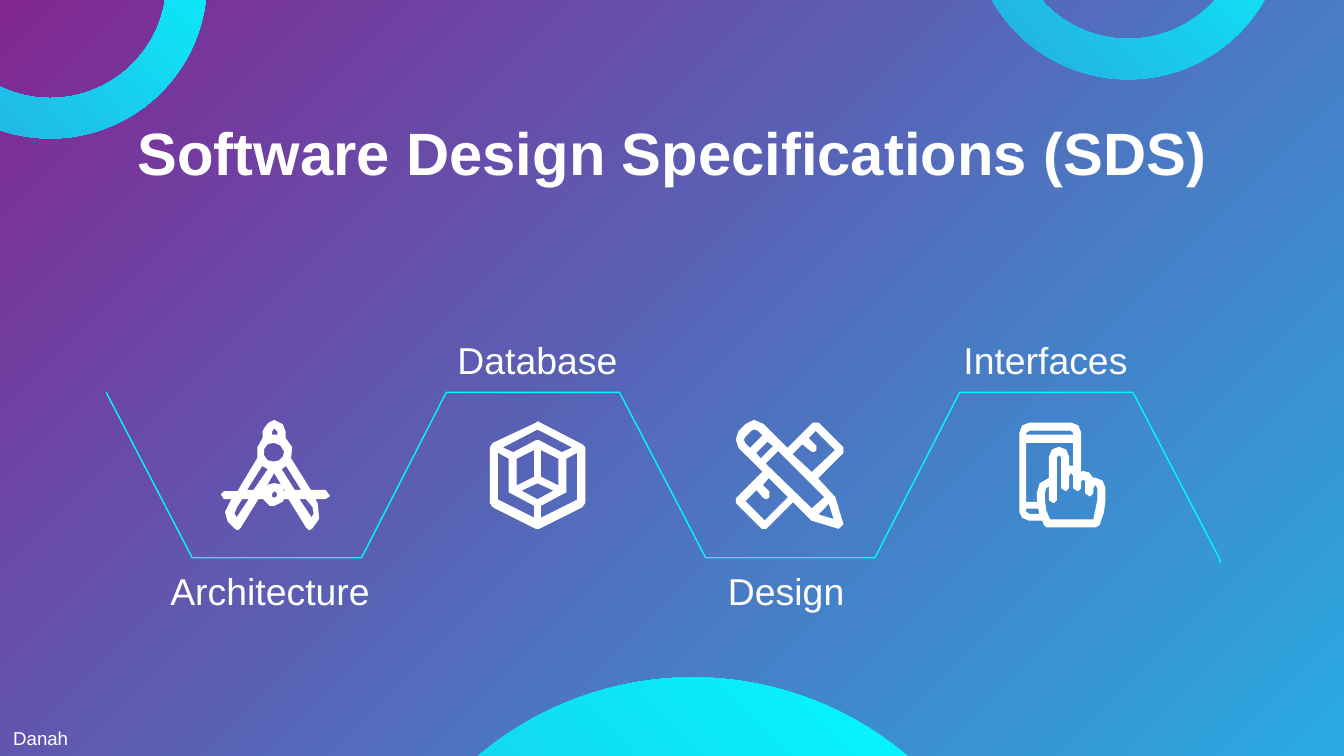
"""Build a slide showing four design specification steps along a zigzag line."""
import pptx
import pptx.dml.color
import pptx.enum.shapes
import pptx.enum.text
import pptx.util

WIDTH = 10
HEIGHT = WIDTH * 9 / 16
WHITE, CYAN, PURPLE, BLUE, LINE = "FFFFFF", "00FFFF", "812792", "29AAE1", "00F9F9"
TITLE = "Software Design Specifications (SDS)"
AUTHOR = "Danah"
RINGS = [(-0.79, -1.3, 2.33), (7.23, -1.74, 2.33), (2.68, 5.04, 4.95)]
LABEL_WIDTH, LABEL_HEIGHT = 1.74, 0.49
ABOVE, BELOW = 2.41, 4.13

ZIGZAG_START, ZIGZAG_PERIOD = 79, 382
ZIGZAG_WAVE = [(0, 292), (64, 415), (190, 415), (253, 292)]
ZIGZAG_COUNT, ZIGZAG_END = 10, (908, 419)

DIVIDERS = [
    "40,0 36,2 33,6 32,8 32,13 28,20 28,28 13,53 3,53 1,55 3,58 9,58 7,62 4,68 6,75 11,80 "
    "13,81 15,79 28,58 32,58 37,63 40,63 46,60 47,58 51,58 64,79 66,81 68,80 73,73 72,62 "
    "70,58 78,58 81,56 78,52 67,52 52,28 53,20 48,13 48,8 46,3 42,1",
    "40,5 43,8 43,11 38,11 38,8",
    "40,16 45,18 48,23 47,27 44,30 40,31 35,30 32,26 32,21 35,17",
    "31,33 36,36 25,52 19,52",
    "49,33 61,52 55,52 45,36",
    "40,38 49,53 47,53 45,48 40,47 36,48 33,52 32,52",
    "40,52 42,53 43,55 42,57 40,58 38,57 38,54",
    "22,58 12,73 10,69 12,64 16,58",
    "64,58 69,64 70,69 68,73 58,58",
]
CUBE = [
    "35,0 37,1 68,17 70,19 70,60 68,63 36,79 34,79 2,63 0,60 0,19 2,16 34,1",
    "35,5 62,19 53,23 36,14 34,14 17,23 8,19",
    "33,20 33,41 19,48 19,27",
    "37,20 51,27 51,48 37,41",
    "35,45 48,51 35,58 22,51",
    "5,22 14,27 14,52 16,53 33,62 33,72 5,58",
    "65,22 65,58 37,72 37,62 54,53 56,52 56,27",
]
PENCIL_AND_RULER = [
    "14,0 8,3 3,8 1,14 3,20 9,26 17,34 21,38 14,45 1,58 1,61 20,80 23,80 43,60 55,72 57,74 "
    "77,80 80,77 74,57 73,56 61,43 80,24 80,20 62,2 58,2 49,11 39,21 21,3",
    "14,6 17,7 21,11 11,21 7,17 6,14 7,12 12,7",
    "24,15 29,19 19,29 15,24",
    "60,7 75,22 57,39 42,25 50,17 56,22 58,23 60,22 60,19 54,13",
    "32,22 67,57 57,66 22,32",
    "70,61 74,74 61,70",
    "25,42 40,57 22,75 7,60 16,51 21,57 23,58 25,57 25,53 20,48",
]
TOUCH_SCREEN = [
    "7,0 2,2 0,7 0,66 2,70 7,72 17,72 18,75 20,77 56,77 58,76 59,75 62,66 63,57 63,48 61,43 "
    "56,41 54,41 51,37 47,36 45,37 45,7 43,2 38,0",
    "38,5 40,7 40,9 4,9 4,7 7,5",
    "40,14 40,32 36,32 36,25 34,20 29,18 24,20 22,25 22,41 15,45 13,52 13,57 14,59 4,59 4,14",
    "14,63 15,68 7,68 4,66 4,63",
    "29,23 31,25 31,48 34,50 36,48 36,39 38,36 40,39 40,48 43,50 45,48 45,43 47,41 49,43 "
    "49,52 52,54 54,52 54,48 56,45 58,48 58,57 55,72 22,72 19,65 18,57 18,52 19,48 22,46 "
    "22,57 25,59 27,57 27,25",
]
STEPS = [
    ("Architecture", 1.14, BELOW, DIVIDERS, (1.64, 3.13)),
    ("Database", 3.13, ABOVE, CUBE, (3.65, 3.14)),
    ("Design", 4.98, BELOW, PENCIL_AND_RULER, (5.47, 3.13)),
    ("Interfaces", 6.91, ABOVE, TOUCH_SCREEN, (7.59, 3.15)),
]


def inches(*lengths):
    return [pptx.util.Inches(length) for length in lengths]


def color(value):
    return pptx.dml.color.RGBColor.from_string(value)


def set_gradient(fill, start, end, angle):
    fill.gradient()
    fill.gradient_angle = angle
    for stop, value in zip(fill.gradient_stops, (start, end)):
        stop.color.rgb = color(value)


def write_text(shape, text, size, bold=False, centered=True, wrap=True, margin=0.1):
    frame = shape.text_frame
    frame.text = text
    frame.word_wrap = wrap
    frame.auto_size = pptx.enum.text.MSO_AUTO_SIZE.NONE
    frame.vertical_anchor = pptx.enum.text.MSO_ANCHOR.TOP
    frame.margin_left = frame.margin_right = pptx.util.Inches(0.1)
    frame.margin_top = frame.margin_bottom = pptx.util.Inches(margin)
    paragraph = frame.paragraphs[0]
    alignment = pptx.enum.text.PP_ALIGN
    paragraph.alignment = alignment.CENTER if centered else alignment.LEFT
    font = paragraph.font
    font.name, font.size, font.bold = "Arial", pptx.util.Pt(size), bold
    font.color.rgb = color(WHITE)


def draw_outline(slide, contours, line, origin=(0, 0), fill=None):
    builder = slide.shapes.build_freeform(*contours[0][0], scale=pptx.util.Inches(0.01))
    for contour in contours:
        if contour is not contours[0]:
            builder.move_to(*contour[0])
        builder.add_line_segments(contour[1:], close=fill is not None)
    shape = builder.convert_to_shape(*inches(*origin))
    shape.shadow.inherit = False
    shape.line.color.rgb = color(line)
    shape.line.width = pptx.util.Pt(0.75)
    if fill:
        shape.fill.solid()
        shape.fill.fore_color.rgb = color(fill)
    else:
        shape.fill.background()


def main():
    presentation = pptx.Presentation()
    presentation.slide_width, presentation.slide_height = inches(WIDTH, HEIGHT)
    slide = presentation.slides.add_slide(presentation.slide_layouts[5])
    set_gradient(slide.background.fill, PURPLE, BLUE, 315)

    title = slide.shapes.title
    title.left, title.top, title.width, title.height = inches(0.79, 0.76, 8.43, 0.65)
    write_text(title, TITLE, 32, bold=True)

    for left, top, size in RINGS:
        ring = slide.shapes.add_shape(
            pptx.enum.shapes.MSO_SHAPE.DONUT, *inches(left, top, size, size))
        ring.adjustments[0] = 0.129
        ring.shadow.inherit = False
        ring.line.fill.background()
        set_gradient(ring.fill, CYAN, BLUE, 225)

    zigzag = []
    for index in range(ZIGZAG_COUNT):
        period, corner = divmod(index, len(ZIGZAG_WAVE))
        offset, height = ZIGZAG_WAVE[corner]
        zigzag.append((ZIGZAG_START + period * ZIGZAG_PERIOD + offset, height))
    draw_outline(slide, [zigzag + [ZIGZAG_END]], LINE)

    for text, left, top, icon, origin in STEPS:
        label = slide.shapes.add_textbox(*inches(left, top, LABEL_WIDTH, LABEL_HEIGHT))
        write_text(label, text, 20)
        contours = [[tuple(map(int, point.split(","))) for point in contour.split()]
                    for contour in icon]
        draw_outline(slide, contours, WHITE, origin, WHITE)

    author = slide.shapes.add_textbox(*inches(0, 5.36, 0.61, 0.27))
    write_text(author, AUTHOR, 10, centered=False, wrap=False, margin=0.05)
    presentation.save("out.pptx")


if __name__ == "__main__":
    main()
